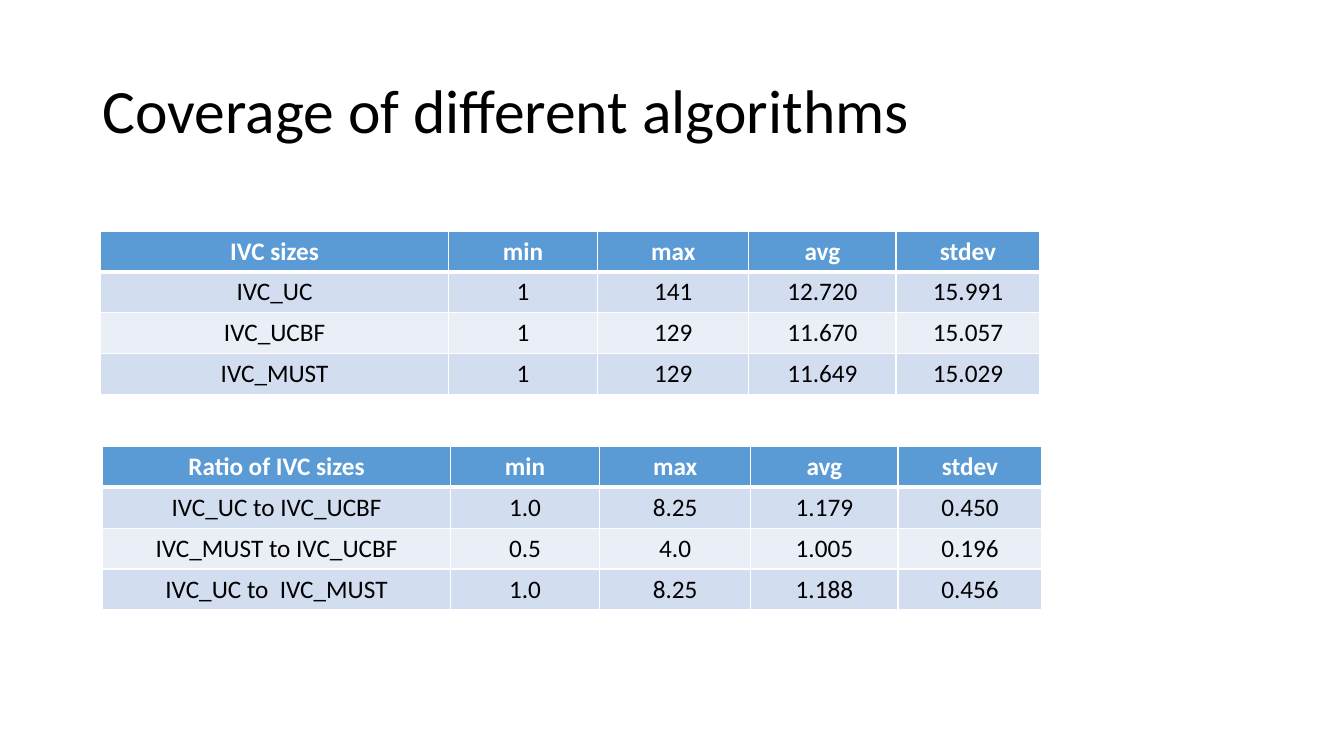
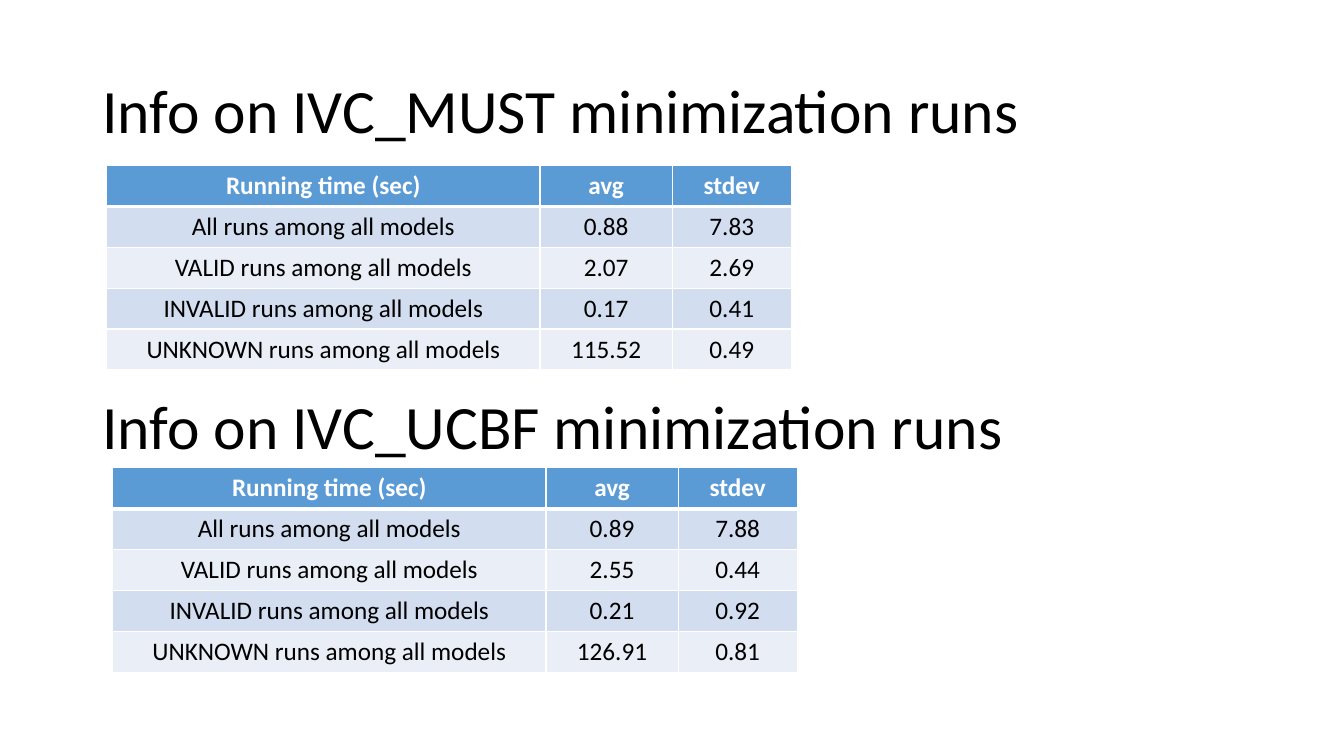
from lxml import etree
from pptx import Presentation
from pptx.dml.color import RGBColor
from pptx.enum.text import MSO_ANCHOR, PP_ALIGN
from pptx.oxml.ns import qn
from pptx.util import Cm, Pt

CENTER = PP_ALIGN.CENTER
MIDDLE = MSO_ANCHOR.MIDDLE

# Shared style
FONT = "Calibri"
BLACK, WHITE = "000000", "FFFFFF"
HEADER_FILL = "5B9BD5"
BAND_FILLS = ("D2DEEF", "EAEFF7")
TITLE_SIZE, CELL_SIZE = 44, 18
THIN, THICK = 1, 3
TITLE_LEFT, TITLE_TOP = 2.33, 1.01
TITLE_WIDTH, TITLE_HEIGHT = 29.21, 3.68
ROW_HEIGHT = 1.03

# Table contents
STATISTICS = ("min", "max", "avg", "stdev")
SIZE_COLUMNS = (8.76, 3.76, 3.81, 3.71, 3.63)
IVC_SIZES = (
    ("IVC sizes", *STATISTICS),
    ("IVC_UC", "1", "141", "12.720", "15.991"),
    ("IVC_UCBF", "1", "129", "11.670", "15.057"),
    ("IVC_MUST", "1", "129", "11.649", "15.029"),
)
IVC_RATIOS = (
    ("Ratio of IVC sizes", *STATISTICS),
    ("IVC_UC to IVC_UCBF", "1.0", "8.25", "1.179", "0.450"),
    ("IVC_MUST to IVC_UCBF", "0.5", "4.0", "1.005", "0.196"),
    ("IVC_UC to  IVC_MUST", "1.0", "8.25", "1.188", "0.456"),
)

TIME_COLUMNS = (10.92, 3.33, 3)
RUN_KINDS = ("All", "VALID", "INVALID", "UNKNOWN")
MUST_TIMES = (("0.88", "7.83"), ("2.07", "2.69"), ("0.17", "0.41"), ("115.52", "0.49"))
UCBF_TIMES = (("0.89", "7.88"), ("2.55", "0.44"), ("0.21", "0.92"), ("126.91", "0.81"))


def color(hex_string):
    return RGBColor.from_string(hex_string)


def format_text(paragraph, size, hex_string, bold=False):
    for run in paragraph.runs:
        run.font.name = FONT
        run.font.size = Pt(size)
        run.font.bold = bold
        run.font.color.rgb = color(hex_string)


def add_title(slide, text, top=TITLE_TOP):
    shape = slide.shapes.add_textbox(
        Cm(TITLE_LEFT), Cm(top), Cm(TITLE_WIDTH), Cm(TITLE_HEIGHT))
    text_frame = shape.text_frame
    text_frame.word_wrap = True
    text_frame.vertical_anchor = MIDDLE
    text_frame.text = text
    paragraph = text_frame.paragraphs[0]
    paragraph.line_spacing = 0.9
    format_text(paragraph, TITLE_SIZE, BLACK)


def set_borders(cell, top, bottom):
    """Draw white borders; call before filling, as lines precede the fill."""
    properties = cell._tc.get_or_add_tcPr()
    widths = {"a:lnL": THIN, "a:lnR": THIN, "a:lnT": top, "a:lnB": bottom}
    for tag, width in widths.items():
        line = etree.SubElement(properties, qn(tag), w=str(Pt(width)))
        fill = etree.SubElement(line, qn("a:solidFill"))
        etree.SubElement(fill, qn("a:srgbClr"), val=WHITE)


def format_cell(cell, text, row_index):
    is_header = row_index == 0
    set_borders(cell,
                top=THICK if row_index == 1 else THIN,
                bottom=THICK if is_header else THIN)
    cell.fill.solid()
    cell.fill.fore_color.rgb = color(
        HEADER_FILL if is_header else BAND_FILLS[(row_index - 1) % 2])
    cell.vertical_anchor = MIDDLE
    cell.text_frame.text = text
    paragraph = cell.text_frame.paragraphs[0]
    paragraph.alignment = CENTER
    format_text(paragraph, CELL_SIZE, WHITE if is_header else BLACK, is_header)


def add_data_table(slide, left, top, column_widths, rows):
    table = slide.shapes.add_table(
        len(rows), len(column_widths), Cm(left), Cm(top),
        Cm(sum(column_widths)), Cm(ROW_HEIGHT * len(rows))).table
    for column, width in zip(table.columns, column_widths):
        column.width = Cm(width)
    for row_index, values in enumerate(rows):
        table.rows[row_index].height = Cm(ROW_HEIGHT)
        for column_index, text in enumerate(values):
            format_cell(table.cell(row_index, column_index), text, row_index)


def running_time_rows(times):
    header = ("Running time (sec)", "avg", "stdev")
    return [header] + [(f"{kind} runs among all models", *values)
                       for kind, values in zip(RUN_KINDS, times)]


def add_coverage_slide(presentation, layout):
    slide = presentation.slides.add_slide(layout)
    add_title(slide, "Coverage of different algorithms")
    add_data_table(slide, 2.54, 5.82, SIZE_COLUMNS, IVC_SIZES)
    add_data_table(slide, 2.59, 11.25, SIZE_COLUMNS, IVC_RATIOS)


def add_minimization_slide(presentation, layout):
    slide = presentation.slides.add_slide(layout)
    add_title(slide, "Info on IVC_MUST minimization runs")
    add_data_table(slide, 2.69, 4.17, TIME_COLUMNS, running_time_rows(MUST_TIMES))
    add_title(slide, "Info on IVC_UCBF minimization runs", top=8.99)
    add_data_table(slide, 2.84, 11.79, TIME_COLUMNS, running_time_rows(UCBF_TIMES))


def main():
    presentation = Presentation()
    presentation.slide_width = Cm(33.87)
    presentation.slide_height = Cm(19.05)
    blank_layout = presentation.slide_layouts[6]
    add_coverage_slide(presentation, blank_layout)
    add_minimization_slide(presentation, blank_layout)
    presentation.save("out.pptx")


main()
